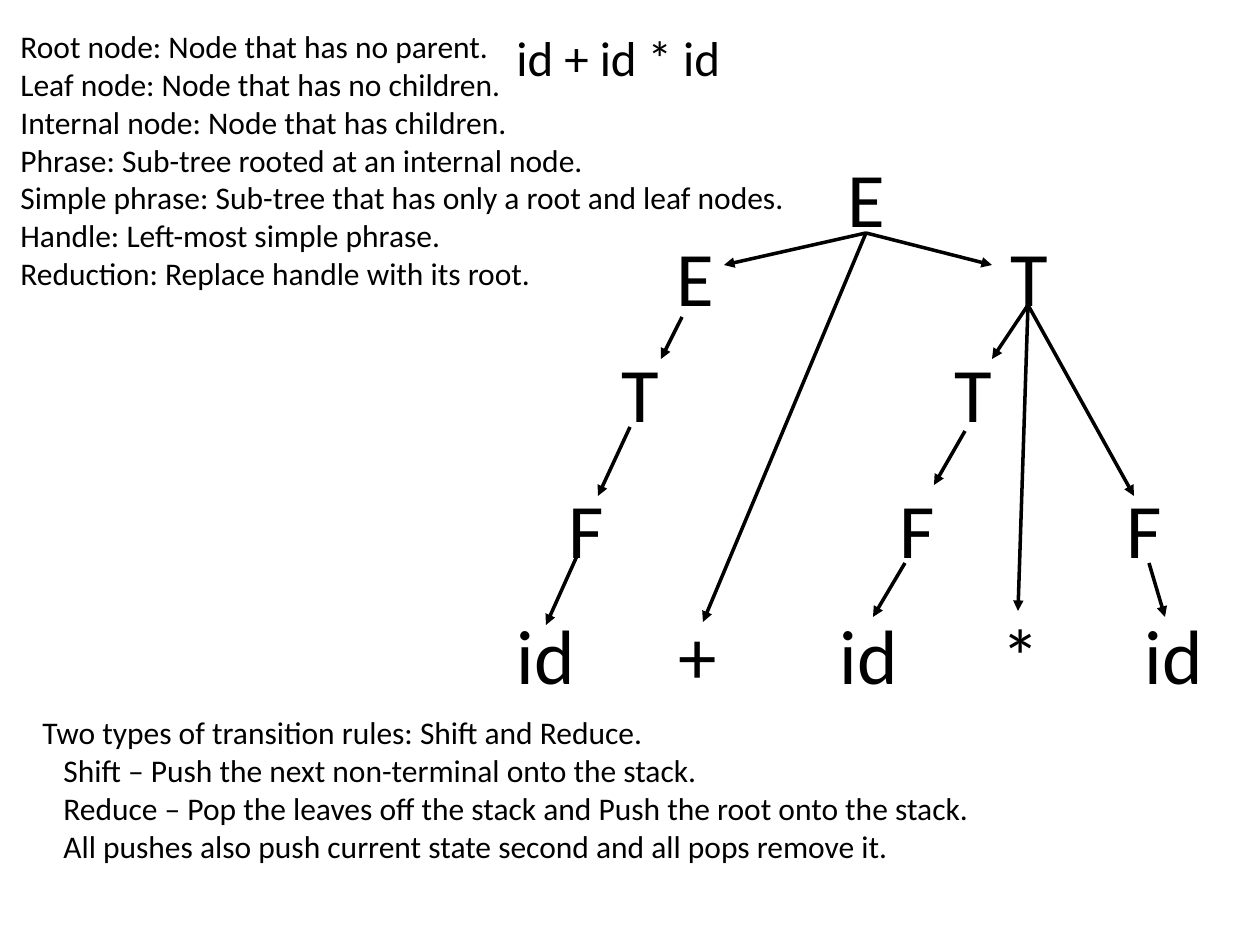
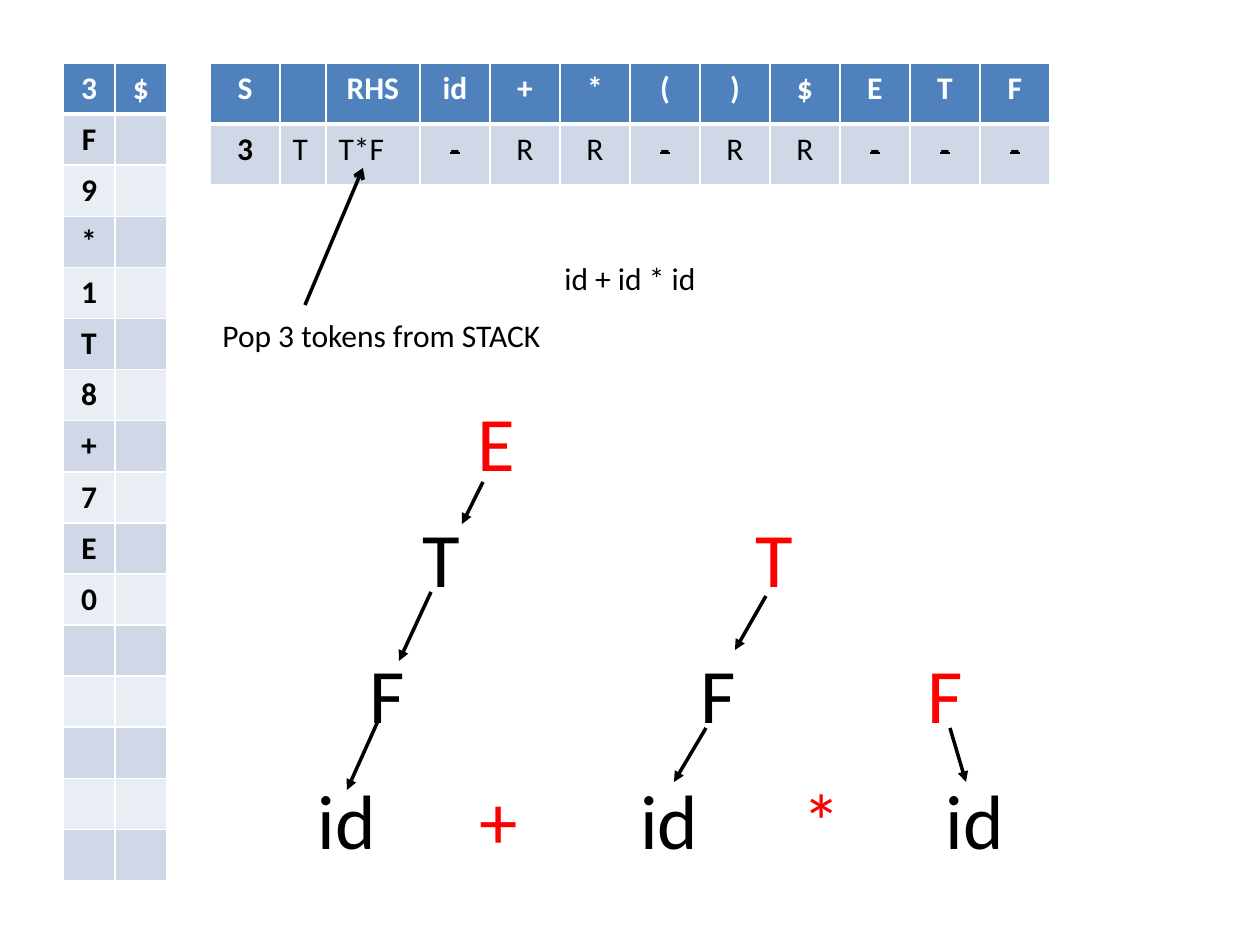
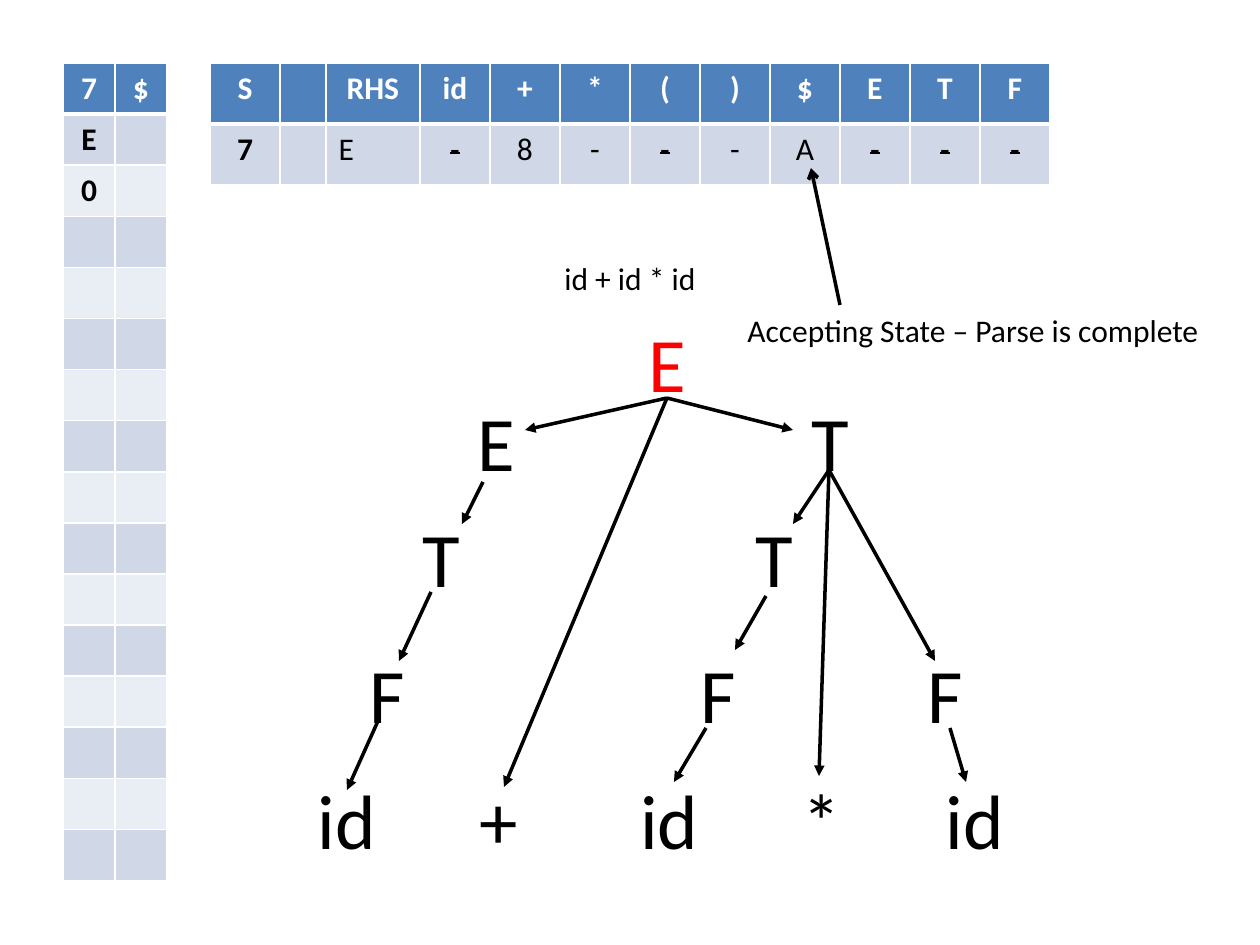
from lxml.etree import SubElement
from pptx import Presentation
from pptx.dml.color import RGBColor
from pptx.enum.shapes import MSO_CONNECTOR
from pptx.enum.text import MSO_AUTO_SIZE, PP_ALIGN
from pptx.oxml.ns import qn
from pptx.util import Pt

PX = 914400 / 126
FONT = "Calibri"
COLORS = {
    "ink": "000000",
    "new": "FF0000",
    "paper": "FFFFFF",
    "header": "4F81BD",
    "odd": "D0D8E8",
    "even": "E9EDF4",
}
RGB = {role: RGBColor.from_string(value) for role, value in COLORS.items()}


def add_text(slide, box, lines, size, wrap=True, tabs=(), indents=()):
    frame = slide.shapes.add_textbox(*[round(n * PX) for n in box]).text_frame
    frame.word_wrap = wrap
    frame.auto_size = MSO_AUTO_SIZE.SHAPE_TO_FIT_TEXT
    for index, line in enumerate(lines):
        paragraph = frame.add_paragraph() if index else frame.paragraphs[0]
        properties = paragraph._p.get_or_add_pPr()
        if indents:
            properties.set("marL", str(round(indents[index] * PX)))
        if tabs:
            stops = SubElement(properties, qn("a:tabLst"))
            for tab in tabs:
                SubElement(stops, qn("a:tab"), pos=str(round(tab * PX)), algn="l")
        paragraph.font.name = FONT
        paragraph.font.size = Pt(size)
        paragraph.font.color.rgb = RGB["ink"]
        for text, color in line:
            run = paragraph.add_run()
            run.text = text
            if color != "ink":
                run.font.color.rgb = RGB[color]


def add_grid(slide, left, top, widths, row_height, rows, bold, left_aligned=(), struck=()):
    table = slide.shapes.add_table(
        len(rows), len(widths), round(left * PX), round(top * PX),
        round(sum(widths) * PX), round(row_height * len(rows) * PX)).table
    for column, width in zip(table.columns, widths):
        column.width = round(width * PX)
    for r, row in enumerate(rows):
        table.rows[r].height = round(row_height * PX)
        for c, text in enumerate(row):
            cell = table.cell(r, c)
            for side in "LRTB":
                heavy = (r, side) in ((0, "B"), (1, "T"))
                border = SubElement(cell._tc.get_or_add_tcPr(), qn(f"a:ln{side}"),
                                    w=str(Pt(3 if heavy else 1)))
                fill = SubElement(border, qn("a:solidFill"))
                SubElement(fill, qn("a:srgbClr"), val=COLORS["paper"])
            cell.fill.solid()
            cell.fill.fore_color.rgb = RGB["header" if r == 0 else "odd" if r % 2 else "even"]
            paragraph = cell.text_frame.paragraphs[0]
            paragraph.alignment = PP_ALIGN.LEFT if r and c in left_aligned else PP_ALIGN.CENTER
            paragraph.font.name = FONT
            paragraph.font.size = Pt(18)
            paragraph.font.bold = r == 0 or c in bold
            paragraph.font.color.rgb = RGB["ink" if r else "paper"]
            if text:
                run = paragraph.add_run()
                run.text = text
                if r and c in struck:
                    run._r.get_or_add_rPr().set("strike", "sngStrike")


EXPRESSION = "id + id * id"
TREE_ROWS = [
    (504, 144, [("root", "E", 331)]),
    (473, 223, [("E", "E", 191), ("T", "T", 525)]),
    (522, 339, [("T1", "T", 87), ("T2", "T", 420)]),
    (504, 475, [("F1", "F", 52), ("F2", "F", 383), ("F3", "F", 610)]),
    (504, 601, [("id1", "id", 0), ("plus", "+", 162), ("id2", "id", 323),
                ("times", "*", 485), ("id3", "id", 628)]),
]
BRANCHES = [
    ("root", (866, 233), [(703, 622), (724, 265), (992, 265)]),
    ("E", (682, 317), [(661, 359)]),
    ("T", (1028, 305), [(1018, 611), (992, 359), (1134, 496)]),
    ("T1", (630, 427), [(598, 496)]),
    ("T2", (965, 431), [(934, 485)]),
    ("F1", (577, 556), [(546, 625)]),
    ("F2", (905, 563), [(873, 617)]),
    ("F3", (1149, 563), [(1165, 617)]),
]
DEFINITIONS = [
    "Root node: Node that has no parent.",
    "Leaf node: Node that has no children.",
    "Internal node: Node that has children.",
    "Phrase: Sub-tree rooted at an internal node.",
    "Simple phrase: Sub-tree that has only a root and leaf nodes.",
    "Handle: Left-most simple phrase.",
    "Reduction: Replace handle with its root.",
]
TRANSITIONS = [
    "Two types of transition rules: Shift and Reduce.",
    "Shift – Push the next non-terminal onto the stack.",
    "Reduce – Pop the leaves off the stack and Push the root onto the stack.",
    "All pushes also push current state second and all pops remove it.",
]
STATE_HEADER = ["S", "", "RHS", "id", "+", "*", "(", ")", "$", "E", "T", "F"]
STACK_DEPTH = 16
STEPS = [
    {"shift": (0, 0), "missing": (), "new": ()},
    {"shift": (-199, 165), "missing": ("root", "T"),
     "new": ("E", "T2", "F3", "plus", "times"),
     "stack": "3F9*1T8+7E0",
     "state": ["3", "T", "T*F", "-", "R", "R", "-", "R", "R", "-", "-", "-"],
     "callout": ("Pop 3 tokens from STACK", (210, 310, 347, 50)),
     "pointer": ((305, 305), (363, 168))},
    {"shift": (-199, 165), "missing": (), "new": ("root",),
     "stack": "7E0",
     "state": ["7", "", "E", "-", "8", "-", "-", "-", "A", "-", "-", "-"],
     "callout": ("Accepting State – Parse is complete", (735, 305, 481, 50)),
     "pointer": ((840, 305), (811, 168))},
]

deck = Presentation()
deck.slide_width = round(1260 * PX)
deck.slide_height = round(945 * PX)

for step in STEPS:
    slide = deck.slides.add_slide(deck.slide_layouts[6])
    dx, dy = step["shift"]
    arrows = []

    if "stack" in step:
        add_grid(slide, 210, 63, [70, 46, 94] + [70] * 9, 61,
                 [STATE_HEADER, step["state"]], bold=(0,),
                 left_aligned=(1, 2), struck=(3, 6, 9, 10, 11))
        tokens = step["stack"].ljust(STACK_DEPTH)
        stack_rows = [[token.strip(), "" if depth else "$"] for depth, token in enumerate(tokens)]
        add_grid(slide, 63, 63, [52, 52], 51, stack_rows, bold=(0, 1))
        add_text(slide, (552, 253, 163, 50), [[(EXPRESSION, "ink")]], 18)
        message, place = step["callout"]
        add_text(slide, place, [[(message, "ink")]], 18, wrap=False)
        arrows.append((*step["pointer"], "arrow"))
    else:
        add_text(slide, (504, 21, 252, 72), [[(EXPRESSION, "ink")]], 28)
        add_text(slide, (8, 21, 799, 280), [[(line, "ink")] for line in DEFINITIONS],
                 18, wrap=False)
        add_text(slide, (30, 707, 989, 165), [[(line, "ink")] for line in TRANSITIONS],
                 18, wrap=False, indents=(0, 21, 21, 21))

    for left, top, nodes in TREE_ROWS:
        shown = [node for node in nodes if node[0] not in step["missing"]]
        if shown:
            symbols = [("\t" * (offset > 0) + symbol, "new" if node in step["new"] else "ink")
                       for node, symbol, offset in shown]
            tabs = [offset for node, symbol, offset in shown if offset]
            add_text(slide, (left + dx, top + dy, 724, 106), [symbols], 44, tabs=tabs)

    for parent, (x, y), children in BRANCHES:
        if parent not in step["missing"]:
            arrows += [((x + dx, y + dy), (cx + dx, cy + dy), "triangle") for cx, cy in children]

    for start, end, head in arrows:
        arrow = slide.shapes.add_connector(
            MSO_CONNECTOR.STRAIGHT, *[round(n * PX) for n in start + end])
        arrow.line.color.rgb = RGB["ink"]
        arrow.line.width = Pt(2)
        SubElement(arrow.line._get_or_add_ln(), qn("a:tailEnd"), type=head)
        SubElement(arrow._element.spPr, qn("a:effectLst"))

deck.save("out.pptx")
